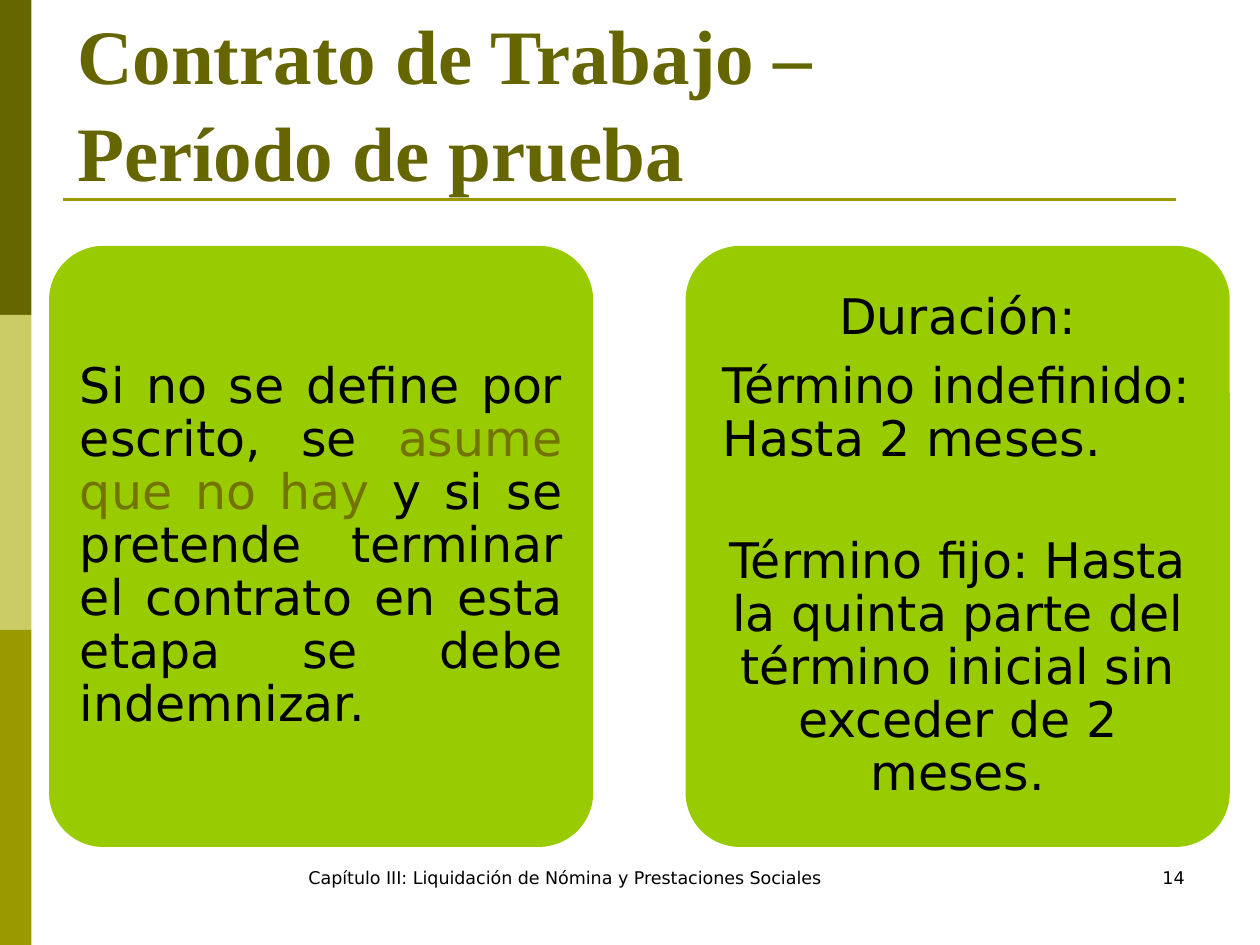
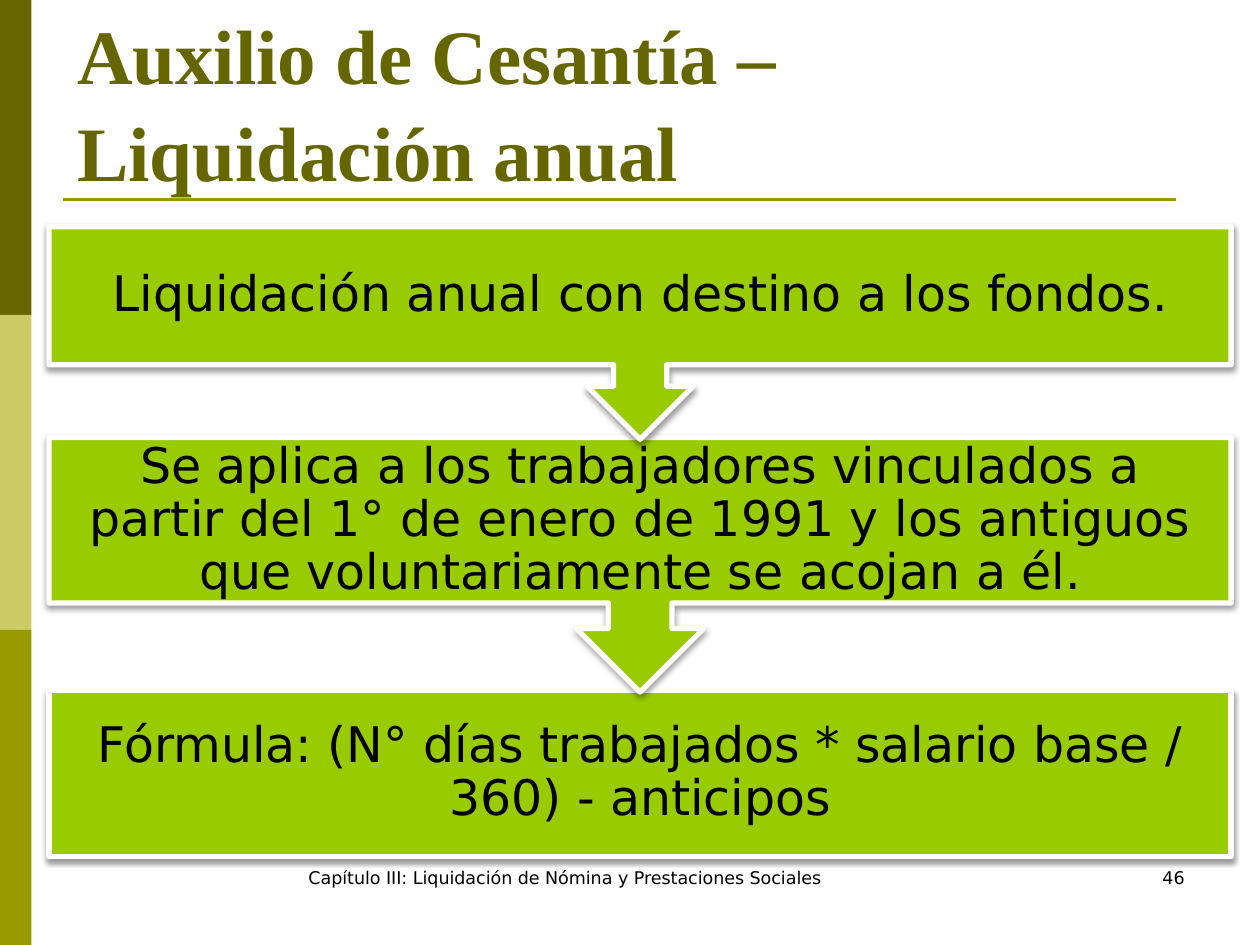
from lxml import etree
from pptx import Presentation
from pptx.dml.color import RGBColor
from pptx.enum.shapes import MSO_CONNECTOR, MSO_SHAPE
from pptx.enum.text import MSO_ANCHOR, PP_ALIGN
from pptx.oxml import parse_xml
from pptx.oxml.ns import nsdecls, qn
from pptx.util import Pt

RECT = MSO_SHAPE.RECTANGLE
ROUND = MSO_SHAPE.ROUNDED_RECTANGLE
CALLOUT = MSO_SHAPE.UP_ARROW_CALLOUT
LINE = MSO_CONNECTOR.STRAIGHT
TOP, MIDDLE, BOTTOM = MSO_ANCHOR.TOP, MSO_ANCHOR.MIDDLE, MSO_ANCHOR.BOTTOM
LEFT, CENTER = PP_ALIGN.LEFT, PP_ALIGN.CENTER
RIGHT, JUSTIFY = PP_ALIGN.RIGHT, PP_ALIGN.JUSTIFY

DARK = RGBColor(0x66, 0x66, 0x00)
PALE = RGBColor(0xCC, 0xCC, 0x66)
OLIVE = RGBColor(0x99, 0x99, 0x00)
GREEN = RGBColor(0x99, 0xCC, 0x00)
ACCENT = RGBColor(0x73, 0x73, 0x00)
BLACK = RGBColor(0, 0, 0)
WHITE = RGBColor(255, 255, 255)

SANS, SERIF = "DejaVu Sans", "Times New Roman"
FOOTER = "Capítulo III: Liquidación de Nómina y Prestaciones Sociales"
BODY = 28
AFTER = 9.2


def add_block(slide, kind, x, y, w, h, fill):
    block = slide.shapes.add_shape(kind, Pt(x), Pt(y), Pt(w), Pt(h))
    block.shadow.inherit = False
    block.fill.solid()
    block.fill.fore_color.rgb = fill
    block.line.fill.background()
    return block


def set_frame(shape, anchor, side, top):
    frame = shape.text_frame
    frame.word_wrap = True
    frame.vertical_anchor = anchor
    frame.margin_left = frame.margin_right = Pt(side)
    frame.margin_top = frame.margin_bottom = Pt(top)
    return frame


def add_box(slide, x, y, w, h, anchor=TOP, side=7.2, top=3.6):
    box = slide.shapes.add_textbox(Pt(x), Pt(y), Pt(w), Pt(h))
    return set_frame(box, anchor, side, top)


def style(para, size, align=LEFT, name=SANS, color=BLACK):
    para.alignment = align
    para.font.size = Pt(size)
    para.font.name = name
    para.font.color.rgb = color


def style_body(para, align=CENTER, after=AFTER):
    style(para, BODY, align)
    para.line_spacing = 0.9
    para.space_after = Pt(after)


def add_base(prs, title, number):
    """Start a slide with the side bands, title, rule and footer."""
    slide = prs.slides.add_slide(prs.slide_layouts[6])
    for i, color in enumerate((DARK, PALE, OLIVE)):
        add_block(slide, RECT, 0, 180 * i, 18, 180, color)
    rule = slide.shapes.add_connector(LINE, Pt(36), Pt(114), Pt(672), Pt(114))
    rule.line.color.rgb = OLIVE
    rule.line.width = Pt(1.5)
    etree.SubElement(rule._element.spPr, qn("a:effectLst"))

    para = add_box(slide, 37, 26, 648, 90, BOTTOM).paragraphs[0]
    para.text = title
    style(para, 44, LEFT, SERIF, DARK)
    para.font.bold = True
    para.line_spacing = 1.05

    for text, x, w, align in ((FOOTER, 134.5, 376.5, CENTER),
                              (number, 516, 168, RIGHT)):
        para = add_box(slide, x, 492, w, 36).paragraphs[0]
        para.text = text
        style(para, 10, align)
    return slide


def add_card(slide, x):
    card = add_block(slide, ROUND, x, 140.5, 311, 343.5, GREEN)
    card.adjustments[0] = 0.1
    return set_frame(card, MIDDLE, 8.6, 8.6)


def add_step(slide, kind, y, h, body, text):
    """Draw a step whose text fills only the body height."""
    x, w = 28, 675.5
    step = add_block(slide, kind, x, y, w, h, GREEN)
    step.line.color.rgb = WHITE
    step.line.width = Pt(3)
    if kind == CALLOUT:
        step.rotation = 180
    glow = step._element.spPr.find(qn("a:effectLst"))
    glow.append(parse_xml(
        f'<a:outerShdw {nsdecls("a")} blurRad="{Pt(3.1)}" dist="{Pt(1.6)}" '
        'dir="5400000" rotWithShape="0"><a:srgbClr val="000000">'
        '<a:alpha val="38000"/></a:srgbClr></a:outerShdw>'))
    para = add_box(slide, x, y, w, body, MIDDLE, 15.8, 15.8).paragraphs[0]
    para.text = text
    style_body(para)


def add_trial(prs):
    slide = add_base(prs, "Contrato de Trabajo –\vPeríodo de prueba", "14")
    para = add_card(slide, 28).paragraphs[0]
    style_body(para, JUSTIFY)
    for text, color in (
            ("Si no se define por escrito, se ", BLACK),
            ("asume que no hay", ACCENT),
            (" y si se pretende terminar el contrato en esta etapa "
             "se debe indemnizar.", BLACK)):
        run = para.add_run()
        run.text = text
        run.font.color.rgb = color

    frame = add_card(slide, 391.75)
    terms = (
        ("Duración:", CENTER, AFTER),
        ("Término indefinido: Hasta 2 meses.", LEFT, 39.5),
        ("Término fijo: Hasta la quinta parte del término inicial "
         "sin exceder de 2 meses.", CENTER, AFTER))
    for i, (text, align, after) in enumerate(terms):
        para = frame.add_paragraph() if i else frame.paragraphs[0]
        para.text = text
        if align == LEFT:
            props = para._p.get_or_add_pPr()
            props.set("marL", str(Pt(3.5)))
            props.set("indent", "0")
        style_body(para, align, after)


def add_yearly(prs):
    slide = add_base(prs, "Auxilio de Cesantía –\vLiquidación anual", "46")
    add_step(slide, RECT, 394.5, 95, 95,
             "Fórmula: (N° días trabajados * salario base / 360) - anticipos")
    add_step(slide, CALLOUT, 250, 145.5, 95,
             "Se aplica a los trabajadores vinculados a partir del 1° de enero "
             "de 1991 y los antiguos que voluntariamente se acojan a él.")
    add_step(slide, CALLOUT, 129.5, 121.5, 79,
             "Liquidación anual con destino a los fondos.")


def main():
    prs = Presentation()
    prs.slide_width, prs.slide_height = Pt(720), Pt(540)
    add_trial(prs)
    add_yearly(prs)
    prs.save("out.pptx")


if __name__ == "__main__":
    main()
